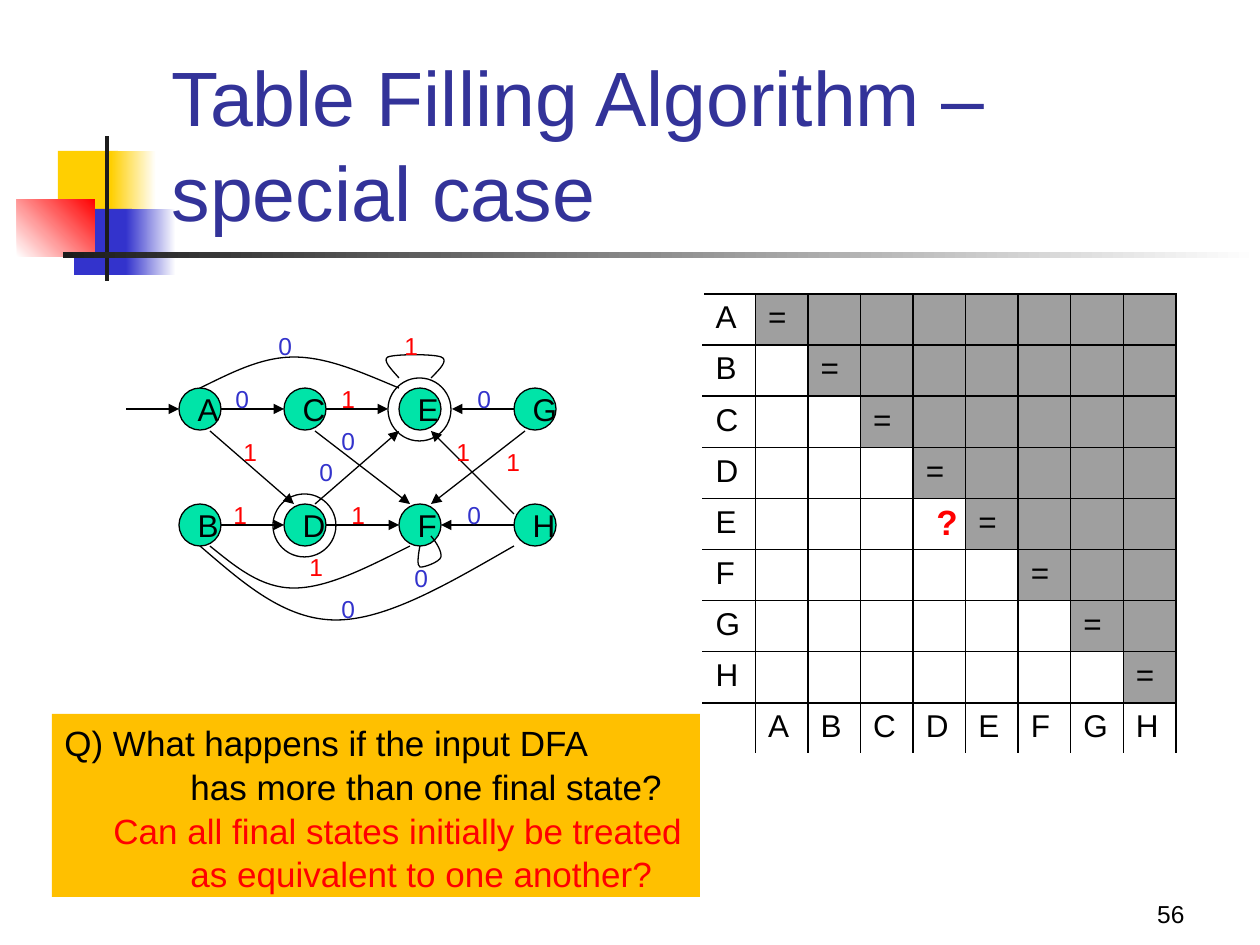
import dataclasses

import lxml.etree
import pptx
import pptx.dml.color
import pptx.enum.shapes
import pptx.enum.text
import pptx.oxml.ns
import pptx.util

PX = 914400 / 126
SHAPES = pptx.enum.shapes.MSO_SHAPE
ANCHOR = pptx.enum.text.MSO_ANCHOR
ALIGN = pptx.enum.text.PP_ALIGN
qn = pptx.oxml.ns.qn


@dataclasses.dataclass(frozen=True)
class Theme:
    font: str = "Arial"
    black: str = "000000"
    white: str = "FFFFFF"
    ink: str = "1C1C1C"
    title: str = "333399"
    blue: str = "3333CC"
    red: str = "FF0000"
    yellow: str = "FFCF01"
    amber: str = "FFC000"
    state: str = "00E4A8"
    grey: str = "9F9F9F"
    title_size: int = 44
    question_size: int = 20
    body_size: int = 18
    label_size: int = 14
    line: float = 0.75


THEME = Theme()
STATES = "ABCDEFGH"
NODE, RING = 42, 63
COLUMNS, ROWS = (179, 284, 399, 514), (388, 504)

# Arrows between states: x1, y1, x2, y2
ARROWS = [
    (126, 409, 179, 409), (221, 409, 284, 409), (326, 409, 388, 409), (514, 409, 452, 409),
    (221, 525, 284, 525), (326, 525, 399, 525), (514, 525, 441, 525),
    (210, 431, 294, 504), (315, 504, 399, 431), (315, 431, 410, 504),
    (525, 431, 431, 504), (514, 514, 431, 431),
]
# Cubic curves: a start, then three points for each segment
CURVES = {
    "B-F": [(410, 546), (368, 567), (328, 588), (294, 588), (261, 588), (236, 567), (210, 546)],
    "B-H": [(200, 546), (242, 582), (284, 620), (336, 620), (388, 620), (451, 582), (514, 546)],
    "F-F": [(431, 536), (437, 543), (442, 552), (441, 557), (440, 562), (423, 568), (420, 567),
            (417, 566), (418, 556), (420, 546)],
    "E-E": [(399, 378), (391, 369), (382, 360), (388, 357), (396, 354), (433, 354), (441, 357),
            (449, 360), (440, 369), (431, 378)],
    "A-E": [(399, 388), (363, 373), (328, 357), (294, 357), (261, 357), (231, 373), (200, 388)],
}
LABELS = {
    ("0", THEME.blue): [(223, 378), (266, 325), (329, 588), (455, 494), (402, 557),
                        (465, 378), (329, 420), (307, 451)],
    ("1", THEME.red): [(231, 431), (221, 494), (297, 546), (339, 494), (494, 441),
                       (444, 431), (392, 325), (329, 378)],
}


def px(*lengths):
    return [pptx.util.Emu(round(length * PX)) for length in lengths]


def rgb(value):
    return pptx.dml.color.RGBColor.from_string(value)


def assign(target, values):
    for name, value in values.items():
        setattr(target, name, value)


def write(para, text, size, color=THEME.black, bold=False, **layout):
    span = para.add_run()
    span.text = text
    assign(span.font, {"name": THEME.font, "size": pptx.util.Pt(size), "bold": bold})
    span.font.color.rgb = rgb(color)
    assign(para, layout)


def outline(line):
    line.color.rgb = rgb(THEME.black)
    line.width = pptx.util.Pt(THEME.line)


def add_block(page, kind, at, fill=None, fade=None, angle=0, lined=False):
    box = page.shapes.add_shape(kind, *px(*at))
    box.shadow.inherit = False
    if fade:
        box.fill.gradient()
        box.fill.gradient_angle = angle
        for stop, color in zip(box.fill.gradient_stops, (fill, fade)):
            stop.color.rgb = rgb(color)
    elif fill:
        box.fill.solid()
        box.fill.fore_color.rgb = rgb(fill)
    else:
        box.fill.background()
    if lined:
        outline(box.line)
    else:
        box.line.fill.background()
    return box


def add_text(page, at, text, size, color=THEME.black, bold=False, anchor=ANCHOR.TOP, **layout):
    box = page.shapes.add_textbox(*px(*at))
    assign(box.text_frame, {"word_wrap": False, "vertical_anchor": anchor})
    write(box.text_frame.paragraphs[0], text, size, color, bold, **layout)


def add_arrow(page, ends):
    arrow = page.shapes.add_connector(pptx.enum.shapes.MSO_CONNECTOR.STRAIGHT, *px(*ends))
    outline(arrow.line)
    properties = arrow.element.spPr
    lxml.etree.SubElement(properties.get_or_add_ln(), qn("a:tailEnd"), type="triangle")
    lxml.etree.SubElement(properties, qn("a:effectLst"))


def add_curve(page, points):
    builder = page.shapes.build_freeform(*points[0], scale=PX)
    builder.add_line_segments(points[1:], close=False)
    curve = builder.convert_to_shape()
    curve.shadow.inherit = False
    curve.fill.background()
    outline(curve.line)
    # Join each three straight steps into one cubic segment
    steps = list(curve.element.iter(qn("a:lnTo")))
    for first in range(0, len(steps), 3):
        cubic = lxml.etree.Element(qn("a:cubicBezTo"))
        steps[first].addprevious(cubic)
        for step in steps[first:first + 3]:
            cubic.append(step[0])
            step.getparent().remove(step)


def add_decoration(page):
    rect = SHAPES.RECTANGLE
    add_block(page, rect, (58, 151, 60, 66), THEME.yellow)
    add_block(page, rect, (111, 151, 45, 66), THEME.yellow, THEME.white)
    add_block(page, rect, (74, 209, 58, 66), THEME.blue)
    add_block(page, rect, (126, 209, 50, 66), THEME.blue, THEME.white)
    add_block(page, rect, (17, 199, 78, 58), THEME.white, THEME.red, angle=45)
    add_block(page, rect, (105, 136, 4, 145), THEME.ink)
    add_block(page, rect, (63, 252, 1197, 6), THEME.ink, THEME.white)


def add_title(page, text):
    title = page.shapes.title
    page.shapes.element.append(title.element)  # in front of the decoration
    assign(title, dict(zip(("left", "top", "width", "height"), px(159, 86, 1074, 157))))
    assign(title.text_frame, {"vertical_anchor": ANCHOR.BOTTOM, "word_wrap": True,
                              "auto_size": pptx.enum.text.MSO_AUTO_SIZE.NONE})
    write(title.text_frame.paragraphs[0], text, THEME.title_size, THEME.title,
          alignment=ALIGN.LEFT, line_spacing=1.03)


def set_borders(cell, sides):
    for side in sides:
        line = lxml.etree.SubElement(cell._tc.get_or_add_tcPr(), qn("a:ln" + side), w="12700")
        fill = lxml.etree.SubElement(line, qn("a:solidFill"))
        lxml.etree.SubElement(fill, qn("a:srgbClr"), val=THEME.black)


def add_pair_table(page):
    count = len(STATES) + 1
    table = page.shapes.add_table(count, count, *px(703, 294, 473, 434)).table
    assign(table, {"first_row": False, "horz_banding": False})
    for row in range(count):
        table.rows[row].height = px(50 if row == count - 2 else 48)[0]
        for column in range(count):
            cell = table.cell(row, column)
            last = row == count - 1
            set_borders(cell, ("L" if column else "") + "RT" + ("" if last else "B"))
            if not last and column > row:
                cell.fill.solid()
                cell.fill.fore_color.rgb = rgb(THEME.grey)
            else:
                cell.fill.background()
            para = cell.text_frame.paragraphs[0]
            para.font.size = pptx.util.Pt(THEME.body_size)
            if last and column:
                write(para, STATES[column - 1], THEME.body_size)
            elif not last and column == 0:
                write(para, STATES[row], THEME.body_size)
            elif not last and column == row + 1:
                write(para, "=", THEME.body_size)


def add_question(page):
    box = add_block(page, SHAPES.RECTANGLE, (52, 714, 648, 183), THEME.amber)
    assign(box.text_frame, {"word_wrap": True, "vertical_anchor": ANCHOR.TOP})
    lines = [
        ("Q) What happens if the input DFA", 0, THEME.black),
        ("has more than one final state?", 126, THEME.black),
        ("Can all final states initially be treated", 49, THEME.red),
        ("as equivalent to one another?", 126, THEME.red),
    ]
    for index, (text, indent, color) in enumerate(lines):
        para = box.text_frame.add_paragraph() if index else box.text_frame.paragraphs[0]
        write(para, text, THEME.question_size, color, alignment=ALIGN.LEFT, line_spacing=1.04)
        para._p.get_or_add_pPr().set("marL", str(px(indent)[0]))


def add_automaton(page):
    for top, names in zip(ROWS, ("ACEG", "BDFH")):
        for left, name in zip(COLUMNS, names):
            node = add_block(page, SHAPES.OVAL, (left, top, NODE, NODE), THEME.state, lined=True)
            write(node.text_frame.paragraphs[0], name, THEME.body_size, alignment=ALIGN.CENTER)
            if name in "DE":  # final states
                add_block(page, SHAPES.OVAL, (left - 11, top - 10, RING, RING), lined=True)
    for ends in ARROWS:
        add_arrow(page, ends)
    for points in CURVES.values():
        add_curve(page, points)
    for (symbol, color), places in LABELS.items():
        for place in places:
            add_text(page, (*place, 39, 42), symbol, THEME.label_size, color)


def main():
    deck = pptx.Presentation()
    deck.slide_width, deck.slide_height = px(1260, 945)
    page = deck.slides.add_slide(deck.slide_layouts[5])
    add_decoration(page)
    add_title(page, "Table Filling Algorithm – special case")
    add_pair_table(page)
    add_question(page)
    add_automaton(page)
    add_text(page, (924, 494, 47, 55), "?", THEME.question_size, THEME.red, bold=True)
    add_text(page, (935, 872, 262, 63), "56", THEME.label_size, anchor=ANCHOR.BOTTOM,
             alignment=ALIGN.RIGHT)
    deck.save("out.pptx")


if __name__ == "__main__":
    main()
